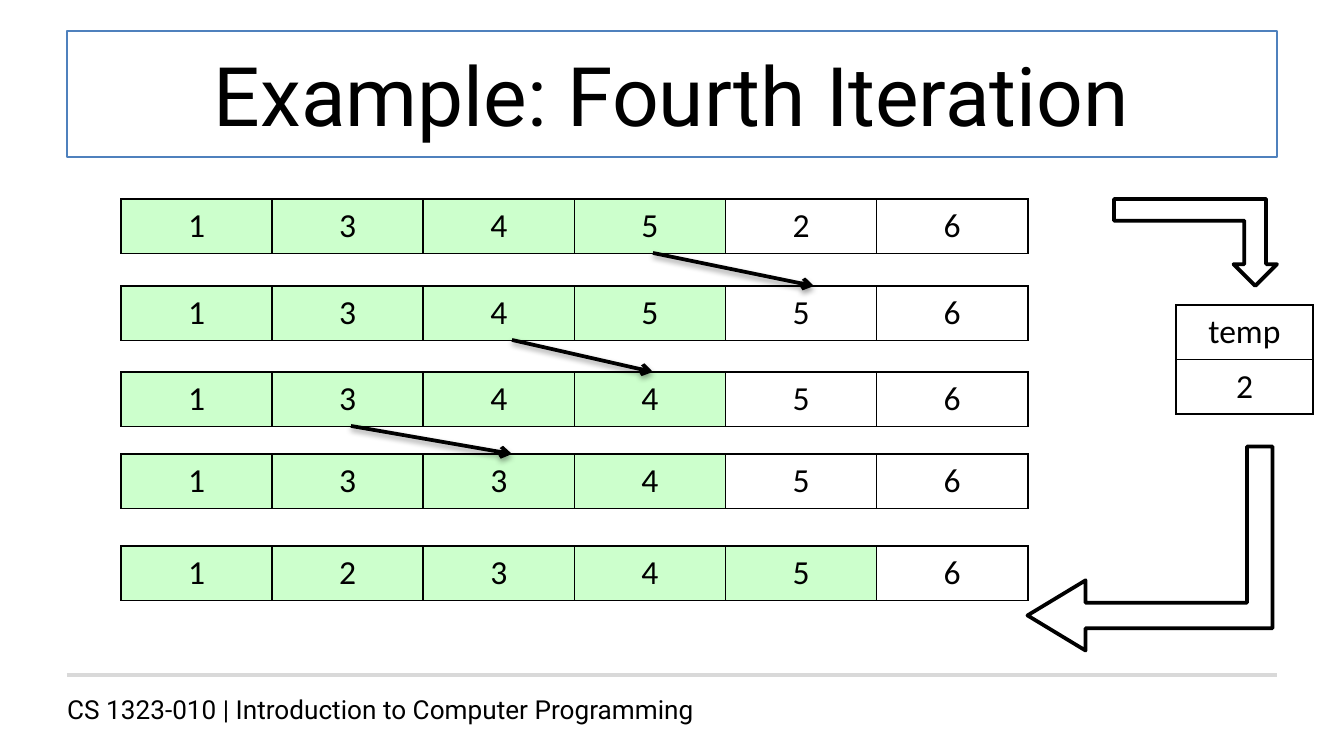
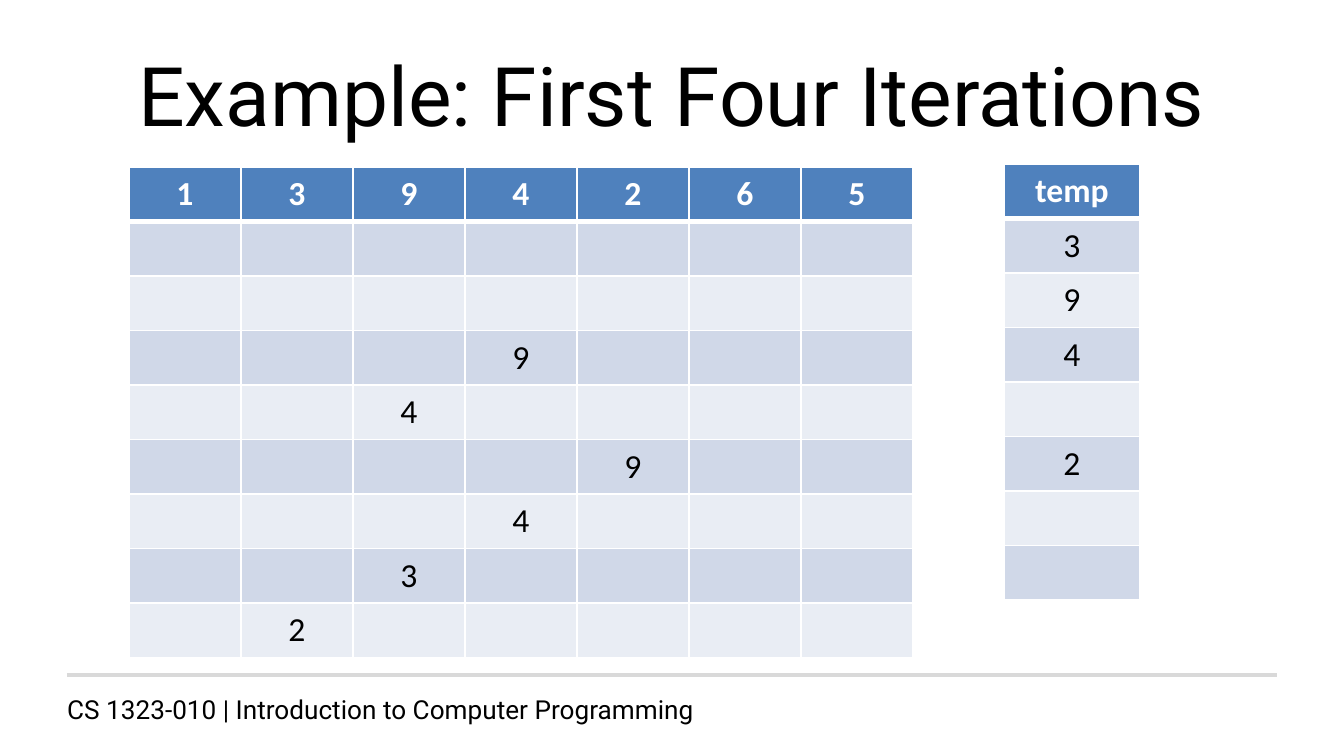
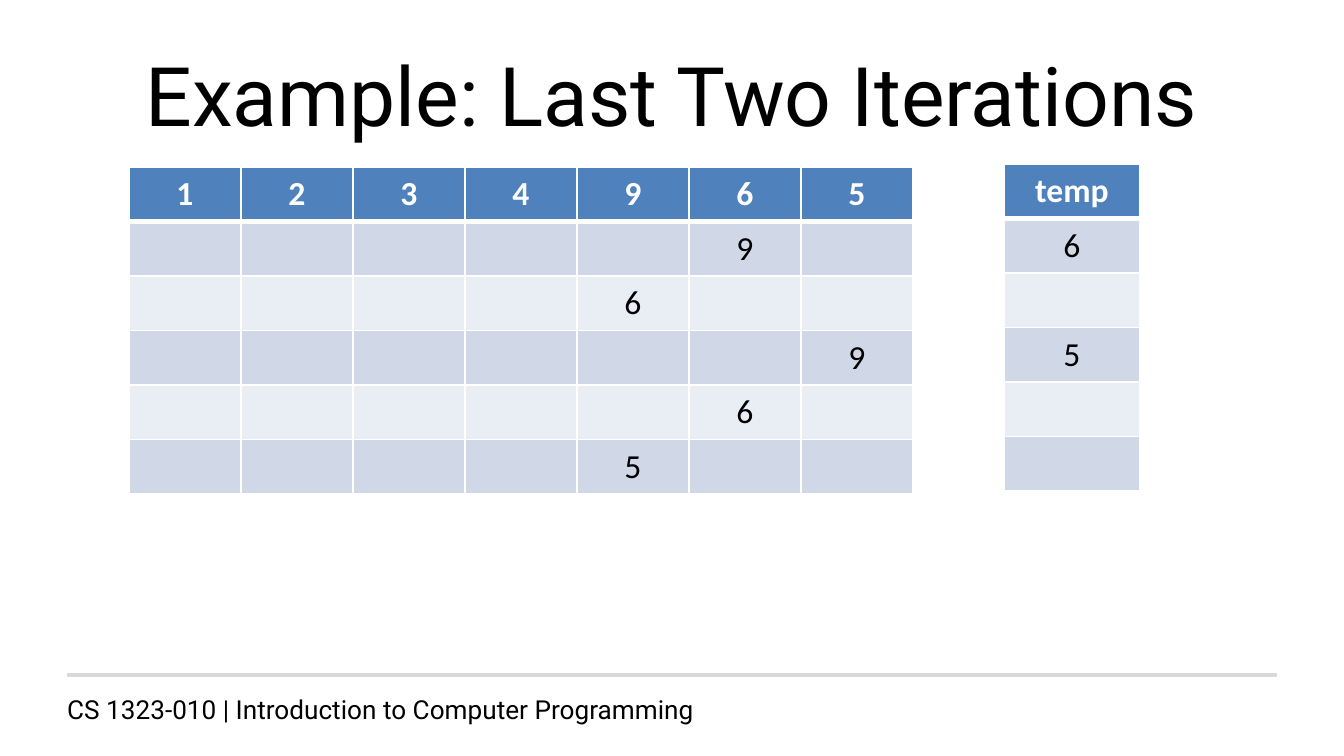
from dataclasses import dataclass
from pptx import Presentation
from pptx.dml.color import RGBColor
from pptx.enum.shapes import MSO_CONNECTOR, MSO_SHAPE
from pptx.enum.text import MSO_ANCHOR, PP_ALIGN
from pptx.oxml import parse_xml
from pptx.oxml.ns import nsdecls, qn
from pptx.util import Emu, Pt


@dataclass(frozen=True)
class Theme:
    black: str = "000000"
    white: str = "FFFFFF"
    blue: str = "4F81BD"
    bands: tuple = ("D0D8E8", "E9EDF4")
    sorted_fill: str = "CCFFCC"
    rule: str = "D9D9D9"
    heading: str = "Roboto"
    body: str = "Calibri"
    title_size: int = 44
    cell_size: int = 18
    footer_size: int = 14


T = Theme()
PX = 914400 / 134.4
PLAIN_STYLE = "{2D5ABB26-0587-4C30-8999-92F81FD0307C}"

# Content: lengths in px
SLIDE = (1344, 756)
TITLE_BOX = (67, 31, 1210, 126)
FOOTER = "CS 1323-010 | Introduction to Computer Programming"
FOOTER_BOX = (54, 687, 1210, 28)
FOOTER_RULE = (67, 675, 1277, 675)

FOURTH = "Example: Fourth Iteration"
ARRAY_LEFT, ARRAY_WIDTH, ARRAY_HEIGHT = 121, 907, 54
ARRAY_STATES = [  # top, values, length of the sorted part
    (199, "134526", 4),
    (286, "134556", 4),
    (372, "134456", 4),
    (454, "133456", 4),
    (546, "123456", 5),
]
SHIFTS = [(653, 814), (512, 653), (351, 512)]
TEMP_BOX = (1176, 305, 137, 108)
TEMP_CELLS = ["temp", "2"]
BLOCK_ARROWS = [  # box, rotation, adjustments
    ((1114, 199, 163, 87), 0, ()),
    ((1048, 426, 204, 245), 90, (0.125, 0.172, 0.285)),
]

TRACE_BOX = (129, 167, 784)
TEMP_TRACE_BOX = (1004, 164, 136)
TRACES = [  # writes hold one (column, value) per row, or None
    {"title": "Example: First Four Iterations", "start": "1394265",
     "writes": [None, None, (3, "9"), (2, "4"), (4, "9"), (3, "4"), (2, "3"), (1, "2")],
     "temp": ["temp", "3", "9", "4", "", "2", "", ""], "heights": (490, 435)},
    {"title": "Example: Last Two Iterations", "start": "1234965",
     "writes": [(5, "9"), (4, "6"), (6, "9"), (5, "6"), (4, "5")],
     "temp": ["temp", "6", "", "5", "", ""], "heights": (327, 327)},
]


def emu(*lengths):
    return [Emu(round(n * PX)) for n in lengths]


def rgb(color):
    return RGBColor.from_string(color)


def write(tf, text, font, size, color=T.black, bold=False, align=PP_ALIGN.CENTER):
    p = tf.paragraphs[0]
    p.alignment = align
    if text:
        r = p.add_run()
        r.text = text
        for name, value in {"name": font, "size": Pt(size), "bold": bold}.items():
            setattr(r.font, name, value)
        r.font.color.rgb = rgb(color)


def set_line(s, color, width):
    s.line.color.rgb = rgb(color)
    s.line.width = Pt(width)


def add_line(slide, ends, color, effect=""):
    s = slide.shapes.add_connector(MSO_CONNECTOR.STRAIGHT, *emu(*ends))
    set_line(s, color, 2)
    s.element.spPr.append(parse_xml(f"<a:effectLst {nsdecls('a')}>{effect}</a:effectLst>"))
    return s


def add_shift_arrow(slide, ends):
    shadow = ('<a:outerShdw blurRad="40000" dist="20000" dir="5400000" rotWithShape="0">'
              f'<a:srgbClr val="{T.black}"><a:alpha val="38000"/></a:srgbClr></a:outerShdw>')
    s = add_line(slide, ends, T.black, shadow)
    s.line._get_or_add_ln().append(parse_xml(f'<a:tailEnd {nsdecls("a")} type="arrow"/>'))


def set_borders(cell, color, widths):
    tc_pr = cell._tc.get_or_add_tcPr()
    for side, width in zip("LRTB", widths):
        tc_pr.append(parse_xml(
            f'<a:ln{side} {nsdecls("a")} w="{Pt(width)}"><a:solidFill>'
            f'<a:srgbClr val="{color}"/></a:solidFill></a:ln{side}>'))


def add_grid(slide, box, rows, style):
    """Draw rows of text; style(row, col) gives fill, text colour, bold, border colour, widths."""
    x, y, w, h = emu(*box)
    table = slide.shapes.add_table(len(rows), len(rows[0]), x, y, w, h).table
    table.first_row = table.horz_banding = False
    table._tbl.tblPr.find(qn("a:tableStyleId")).text = PLAIN_STYLE
    for i, row in enumerate(rows):
        for j, text in enumerate(row):
            cell = table.cell(i, j)
            fill, color, bold, edge, widths = style(i, j)
            set_borders(cell, edge, widths)
            if fill:
                cell.fill.solid()
                cell.fill.fore_color.rgb = rgb(fill)
            else:
                cell.fill.background()
            write(cell.text_frame, text, T.body, T.cell_size, color, bold)


def outlined(sorted_count):
    return lambda i, j: (T.sorted_fill if j < sorted_count else None,
                         T.black, False, T.black, (1, 1, 1, 1))


def banded(i, j):
    if i == 0:
        return T.blue, T.white, True, T.white, (1, 1, 1, 3)
    return T.bands[(i - 1) % 2], T.black, False, T.white, (1, 1, 3 if i == 1 else 1, 1)


def add_slide(prs, title):
    slide = prs.slides.add_slide(prs.slide_layouts[5])
    s = slide.shapes.title
    s.left, s.top, s.width, s.height = emu(*TITLE_BOX)
    s.text_frame.vertical_anchor = MSO_ANCHOR.MIDDLE
    write(s.text_frame, title, T.heading, T.title_size)
    return slide


def move_footer_to_layout(slide):
    s = slide.shapes.add_textbox(*emu(*FOOTER_BOX))
    s.text_frame.word_wrap = True
    write(s.text_frame, FOOTER, T.heading, T.footer_size, align=PP_ALIGN.LEFT)
    rule = add_line(slide, FOOTER_RULE, T.rule)
    for part in (s, rule):
        slide.slide_layout.shapes.element.append(part.element)


def build_fourth(prs):
    slide = add_slide(prs, FOURTH)
    move_footer_to_layout(slide)
    set_line(slide.shapes.title, T.blue, 0.75)

    # Array states and the temp variable
    for top, values, sorted_count in ARRAY_STATES:
        add_grid(slide, (ARRAY_LEFT, top, ARRAY_WIDTH, ARRAY_HEIGHT), [values],
                 outlined(sorted_count))
    add_grid(slide, TEMP_BOX, [[text] for text in TEMP_CELLS], outlined(0))

    # Block arrows into and out of temp
    for box, rotation, adjustments in BLOCK_ARROWS:
        s = slide.shapes.add_shape(MSO_SHAPE.BENT_UP_ARROW, *emu(*box))
        s.shadow.inherit = False
        s.rotation = rotation
        s.element.spPr.xfrm.set("flipV", "1")
        for k, value in enumerate(adjustments):
            s.adjustments[k] = value
        s.fill.solid()
        s.fill.fore_color.rgb = rgb(T.white)
        set_line(s, T.black, 2)

    # Shifts from each state to the next
    for (x1, x2), state, following in zip(SHIFTS, ARRAY_STATES, ARRAY_STATES[1:]):
        add_shift_arrow(slide, (x1, state[0] + ARRAY_HEIGHT, x2, following[0]))


def build_trace(prs, trace):
    slide = add_slide(prs, trace["title"])
    columns = range(len(trace["start"]))
    rows = [trace["start"]]
    for written in trace["writes"]:
        col, value = written or (None, "")
        rows.append([value if j == col else "" for j in columns])
    trace_height, temp_height = trace["heights"]
    add_grid(slide, (*TRACE_BOX, trace_height), rows, banded)
    add_grid(slide, (*TEMP_TRACE_BOX, temp_height), [[text] for text in trace["temp"]], banded)


def main():
    prs = Presentation()
    prs.slide_width, prs.slide_height = emu(*SLIDE)
    build_fourth(prs)
    for trace in TRACES:
        build_trace(prs, trace)
    prs.save("out.pptx")


if __name__ == "__main__":
    main()
